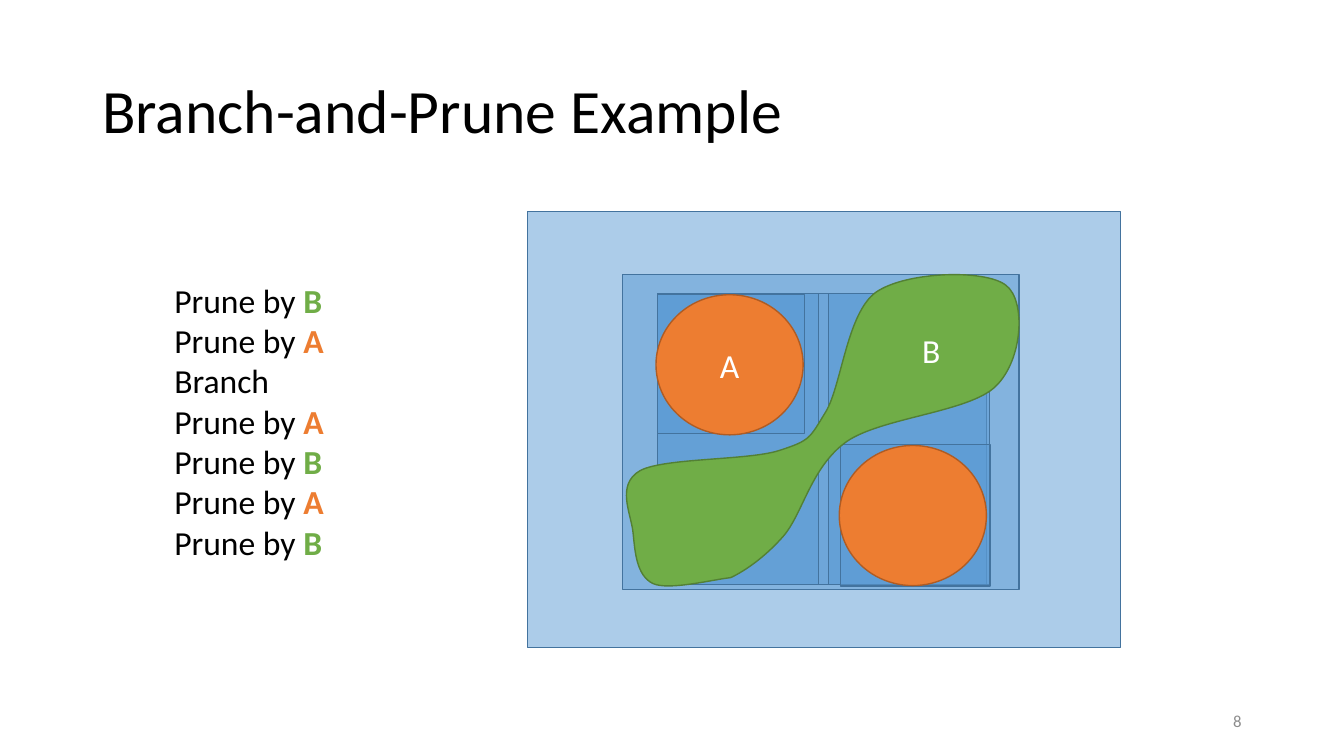
import pptx
import pptx.util
import pptx.dml.color
import pptx.enum.shapes
import pptx.enum.text
import lxml.etree

Pt = pptx.util.Pt
RGBColor = pptx.dml.color.RGBColor
Shape = pptx.enum.shapes.MSO_SHAPE
Align = pptx.enum.text.PP_ALIGN
Anchor = pptx.enum.text.MSO_ANCHOR
AutoSize = pptx.enum.text.MSO_AUTO_SIZE

BLACK = RGBColor(0x00, 0x00, 0x00)
WHITE = RGBColor(0xFF, 0xFF, 0xFF)
GRAY = RGBColor(0x8C, 0x8C, 0x8C)
BLUE = RGBColor(0x5B, 0x9B, 0xD5)
BLUE_EDGE = RGBColor(0x43, 0x73, 0x9E)
ORANGE = RGBColor(0xED, 0x7D, 0x31)
ORANGE_EDGE = RGBColor(0xAF, 0x5C, 0x24)
GREEN = RGBColor(0x70, 0xAD, 0x47)
GREEN_EDGE = RGBColor(0x53, 0x80, 0x35)
DRAWING = "{http://schemas.openxmlformats.org/drawingml/2006/main}"


def write(frame, lines, size=24, color=BLACK, align=Align.LEFT,
          anchor=Anchor.TOP, spacing=None, wrap=True, font="Calibri"):
    """Fill a text frame with lines, each a list of (text, accent colour or None)."""
    frame.word_wrap = wrap
    frame.vertical_anchor = anchor
    frame.auto_size = AutoSize.NONE if wrap else AutoSize.SHAPE_TO_FIT_TEXT
    for index, line in enumerate(lines):
        paragraph = frame.paragraphs[0] if index == 0 else frame.add_paragraph()
        paragraph.alignment = align
        paragraph.line_spacing = spacing
        for text, accent in line:
            run = paragraph.add_run()
            run.text = text
            run.font.name = font
            run.font.size = Pt(size)
            run.font.bold = accent is not None
            run.font.color.rgb = accent or color


class Diagram:
    """Holds the current slide and the style of its elements."""

    def __init__(self, slide, line_width=1):
        self.shapes = slide.shapes
        self.line_width = line_width

    def style(self, shape, fill, edge, opacity=100):
        """Apply fill, outline and opacity."""
        shape.shadow.inherit = False
        shape.fill.solid()
        shape.fill.fore_color.rgb = fill
        shape.line.color.rgb = edge
        shape.line.width = Pt(self.line_width)
        if opacity < 100:
            tint = shape.fill._xPr.find(f"{DRAWING}solidFill/{DRAWING}srgbClr")
            lxml.etree.SubElement(tint, DRAWING + "alpha", val=str(opacity * 1000))

    def text(self, box, lines, **format):
        """Add a text box."""
        write(self.shapes.add_textbox(*map(Pt, box)).text_frame, lines, **format)

    def search_box(self, box):
        """Add a half-transparent search box."""
        self.style(self.shapes.add_shape(Shape.RECTANGLE, *map(Pt, box)),
                   BLUE, BLUE_EDGE, opacity=50)

    def disc(self, box, label=None):
        """Add one disc of constraint A."""
        disc = self.shapes.add_shape(Shape.OVAL, *map(Pt, box))
        self.style(disc, ORANGE, ORANGE_EDGE)
        if label:
            write(disc.text_frame, [[(label, None)]], color=WHITE,
                  align=Align.CENTER, anchor=Anchor.MIDDLE)

    def region(self, box, start, curves):
        """Add the curved region of constraint B inside its bounding box."""
        left, top, width, height = map(Pt, box)
        builder = self.shapes.build_freeform(Pt(start[0]), Pt(start[1]))
        builder.add_line_segments([(Pt(x), Pt(y)) for *_, (x, y) in curves])
        region = builder.convert_to_shape()
        region.left, region.top, region.width, region.height = left, top, width, height
        outline = region._element.find(f".//{DRAWING}path")
        outline.set("w", str(width))
        outline.set("h", str(height))
        for child in list(outline):
            outline.remove(child)
        for command, points in [("moveTo", [start])] + [("cubicBezTo", c) for c in curves]:
            segment = lxml.etree.SubElement(outline, DRAWING + command)
            for x, y in points:
                lxml.etree.SubElement(segment, DRAWING + "pt",
                                      x=str(Pt(x) - left), y=str(Pt(y) - top))
        lxml.etree.SubElement(outline, DRAWING + "close")
        self.style(region, GREEN, GREEN_EDGE)


SEARCH_BOXES = [
    (377, 151.2, 423.5, 311.2),
    (444.8, 196.3, 283.2, 224.8),
    (469.5, 209.5, 235.4, 208.1),
    (469.5, 209.5, 115.2, 208.1),
    (591.8, 209.5, 115.2, 208.1),
    (469.5, 210.2, 105.1, 99.6),
    (600.5, 317.3, 106.6, 101.2),
]
DISC_SIZE = (105.1, 100.1)
REGION_BOX = (447.12, 196.56, 280.8, 222.48)
REGION_START = (452.2, 380.2)
REGION_CURVES = [
    ((450.7, 366.5), (439.9, 346.3), (457.2, 336.2)),
    ((474.5, 326.9), (534.2, 329), (556.6, 321.8)),
    ((578.9, 314.6), (578.2, 313.2), (589.7, 294.5)),
    ((601.2, 275.8), (604.8, 223.9), (625.7, 208.8)),
    ((647.3, 193.7), (704.2, 192.2), (718.6, 203.8)),
    ((733, 214.6), (730.8, 257), (711.4, 275.8)),
    ((692.6, 294.5), (630, 298.1), (604.8, 315.4)),
    ((579.6, 333.4), (573.8, 365.8), (560.2, 382.3)),
    ((546.5, 398.2), (531.4, 408.2), (522, 412.6)),
    ((509, 414), (478.1, 421.9), (466.6, 416.9)),
    ((454.3, 411.1), (453.6, 393.1), REGION_START),
]
CONSTRAINT_COLORS = {"A": ORANGE, "B": GREEN}
STEPS = ["B", "A", None, "A", "B", "A", "B"]

presentation = pptx.Presentation()
presentation.slide_width, presentation.slide_height = Pt(960), Pt(540)
diagram = Diagram(presentation.slides.add_slide(presentation.slide_layouts[6]))

diagram.text((66, 28.8, 828, 104.4), [[("Branch-and-Prune Example", None)]],
             size=44, anchor=Anchor.MIDDLE, spacing=0.9)
for search_box in SEARCH_BOXES:
    diagram.search_box(search_box)
diagram.disc((468.6, 210.5, *DISC_SIZE), "A")
diagram.disc((599.5, 318.2, *DISC_SIZE))
diagram.region(REGION_BOX, REGION_START, REGION_CURVES)
diagram.text((651.6, 232.2, 27.4, 36), [[("B", None)]], color=WHITE, wrap=False)
diagram.text((117.4, 196.3, 121.7, 211),
             [[("Prune by ", None), (name, CONSTRAINT_COLORS[name])] if name
              else [("Branch", None)] for name in STEPS], wrap=False)
diagram.text((678, 500.4, 216, 28.8), [[("8", None)]], size=12, color=GRAY,
             align=Align.RIGHT, anchor=Anchor.MIDDLE)

presentation.save("out.pptx")
